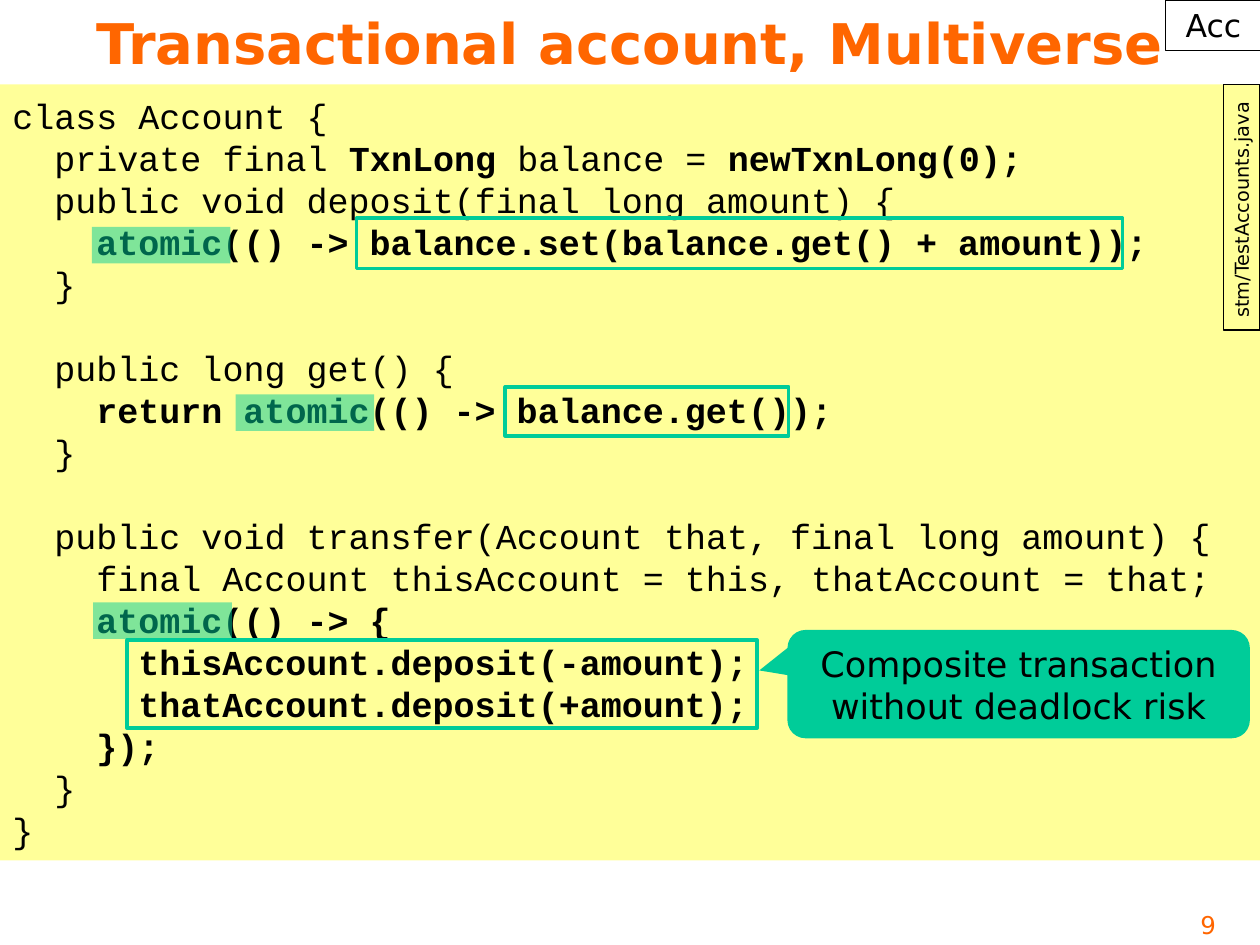
from lxml.etree import SubElement
from pptx import Presentation
from pptx.dml.color import RGBColor
from pptx.enum.shapes import MSO_SHAPE
from pptx.enum.text import MSO_ANCHOR, PP_ALIGN
from pptx.oxml.ns import qn
from pptx.util import Pt

COLORS = {"orange": "FF6600", "black": "000000", "yellow": "FFFF99", "green": "00CC99"}
SANS, MONO = "DejaVu Sans", "Courier New"
CODE_SIZE, CODE_PITCH, CHAR_WIDTH = 20, 24, 12

# Each code line: indent in characters, spans of (text, bold), blank line before
CODE = [
    (0, [("class Account {", False)], False),
    (2, [("private final ", False), ("TxnLong ", True), ("balance = ", False),
         ("newTxnLong(0);", True)], False),
    (2, [("public void deposit(final long amount) {", False)], False),
    (4, [("atomic(() -> balance.set(balance.get() + amount));", True)], False),
    (2, [("}", False)], False),
    (2, [("public long get() {", False)], True),
    (4, [("return atomic(() -> balance.get());", True)], False),
    (2, [("}", False)], False),
    (2, [("public void transfer(Account that, final long amount) {", False)], True),
    (4, [("final Account thisAccount = this, thatAccount = that;", False)], False),
    (4, [("atomic(() -> {", True)], False),
    (6, [("thisAccount.deposit(-amount);", True)], False),
    (6, [("thatAccount.deposit(+amount);", True)], False),
    (4, [("});", True)], False),
    (2, [("}", False)], False),
    (0, [("}", False)], False),
]
BODY_FRAMES = [(203.76, 124.56, 437.76, 28.8), (288.72, 221.04, 162, 28.08),
               (72.72, 365.76, 360, 50.4)]
ATOMIC_MARKS = [(52.56, 129.6), (134.64, 225.36), (53.28, 344.16)]


def rgb(name):
    return RGBColor.from_string(COLORS[name])


def add_span(para, text, font=SANS, size=20, color="black", bold=False):
    span = para.add_run()
    span.text = text
    span.font.name, span.font.size, span.font.bold = font, Pt(size), bold
    span.font.color.rgb = rgb(color)


def write(box, text, align=PP_ALIGN.LEFT, anchor=MSO_ANCHOR.TOP, wrap=True, **font):
    frame = box.text_frame
    frame.word_wrap, frame.vertical_anchor = wrap, anchor
    para = frame.paragraphs[0]
    para.alignment = align
    add_span(para, text, **font)


def add_box(page, area, kind=MSO_SHAPE.RECTANGLE, fill=None, line=None, width=0.75, alpha=None):
    box = page.shapes.add_shape(kind, *map(Pt, area))
    box.shadow.inherit = False
    if fill:
        box.fill.solid()
        box.fill.fore_color.rgb = rgb(fill)
        if alpha:
            color = box.fill._xPr.find(".//" + qn("a:srgbClr"))
            SubElement(color, qn("a:alpha")).set("val", str(alpha * 1000))
    else:
        box.fill.background()
    if line:
        box.line.color.rgb = rgb(line)
        box.line.width = Pt(width)
    else:
        box.line.fill.background()
    return box


def add_code(page, area, lines):
    box = add_box(page, area, fill="yellow")
    frame = box.text_frame
    frame.word_wrap, frame.vertical_anchor = True, MSO_ANCHOR.TOP
    frame.margin_top = Pt(5.6)
    for number, (indent, spans, gap) in enumerate(lines):
        para = frame.add_paragraph() if number else frame.paragraphs[0]
        para.alignment = PP_ALIGN.LEFT
        para.line_spacing = Pt(CODE_PITCH)
        para.space_before = Pt(CODE_PITCH if gap else 0)
        para._p.get_or_add_pPr().set("marL", str(Pt(indent * CHAR_WIDTH)))
        for text, bold in spans:
            add_span(para, text, font=MONO, size=CODE_SIZE, bold=bold)


def main():
    deck = Presentation()
    deck.slide_width, deck.slide_height = Pt(720), Pt(540)
    page = deck.slides.add_slide(deck.slide_layouts[5])

    # Title and page number
    title = page.shapes.title
    title.left, title.top, title.width, title.height = map(Pt, (18, 0, 684, 48.24))
    write(title, "Transactional account, Multiverse", align=PP_ALIGN.CENTER,
          anchor=MSO_ANCHOR.MIDDLE, size=32, color="orange", bold=True)
    page_number = page.shapes.add_textbox(*map(Pt, (653.76, 516.24, 48.24, 23.76)))
    write(page_number, "9", align=PP_ALIGN.RIGHT, size=14, color="orange")

    # Corner label and code
    corner = add_box(page, (666, 0, 54.72, 28.8), line="black")
    write(corner, "Acc", align=PP_ALIGN.CENTER, size=18)
    add_code(page, (0, 48.24, 720, 443.52), CODE)

    # Callout
    callout = add_box(page, (450, 360, 264.24, 61.92),
                      MSO_SHAPE.ROUNDED_RECTANGULAR_CALLOUT, fill="green")
    for index, value in enumerate((-0.561, -0.126, 0.167)):
        callout.adjustments[index] = value
    write(callout, "Composite transaction without deadlock risk",
          align=PP_ALIGN.CENTER, anchor=MSO_ANCHOR.MIDDLE)

    # File name along the right edge
    file_label = add_box(page, (639.36, 108, 140.4, 20.88), line="black")
    file_label.rotation = 270
    write(file_label, "stm/TestAccounts.java", wrap=False, size=11)

    # Frames around transaction bodies, marks over the keyword
    for area in BODY_FRAMES:
        add_box(page, area, line="green", width=2)
    for left, top in ATOMIC_MARKS:
        add_box(page, (left, top, 79.2, 20.88), fill="green", alpha=50)

    deck.save("out.pptx")


main()
